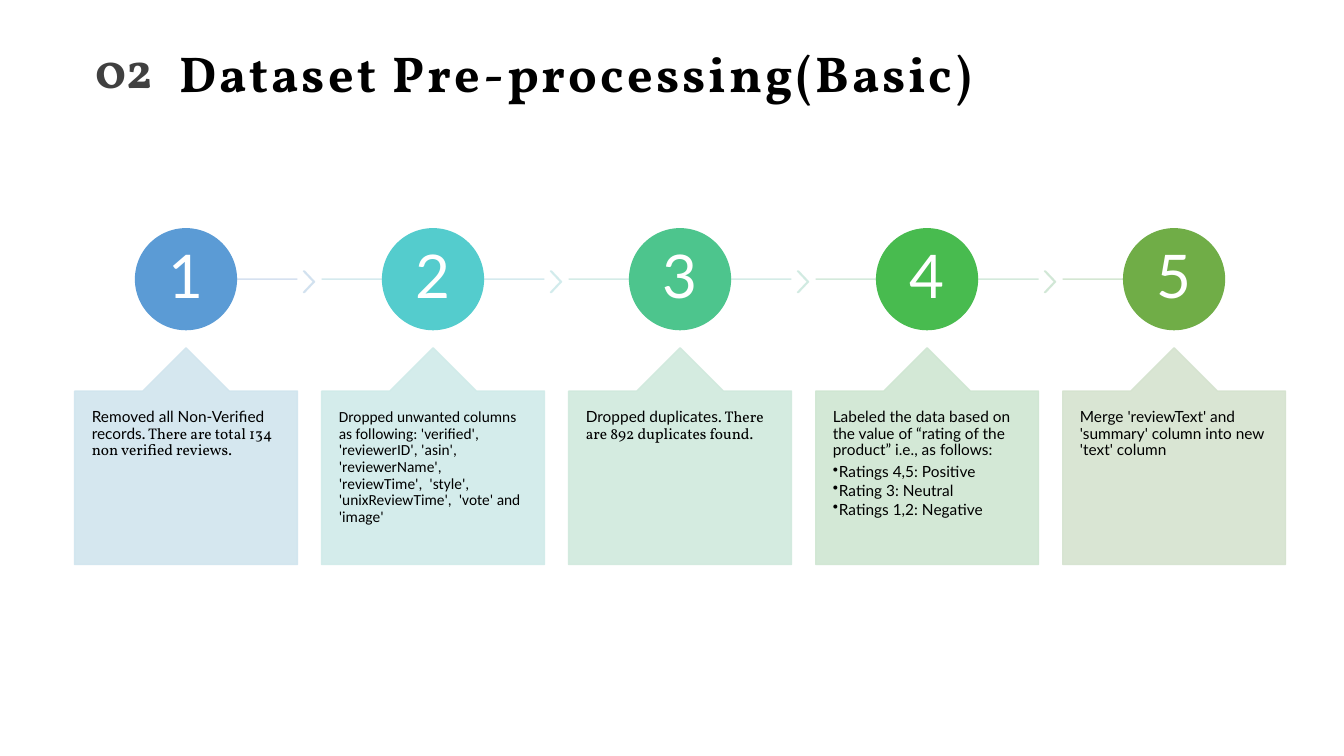
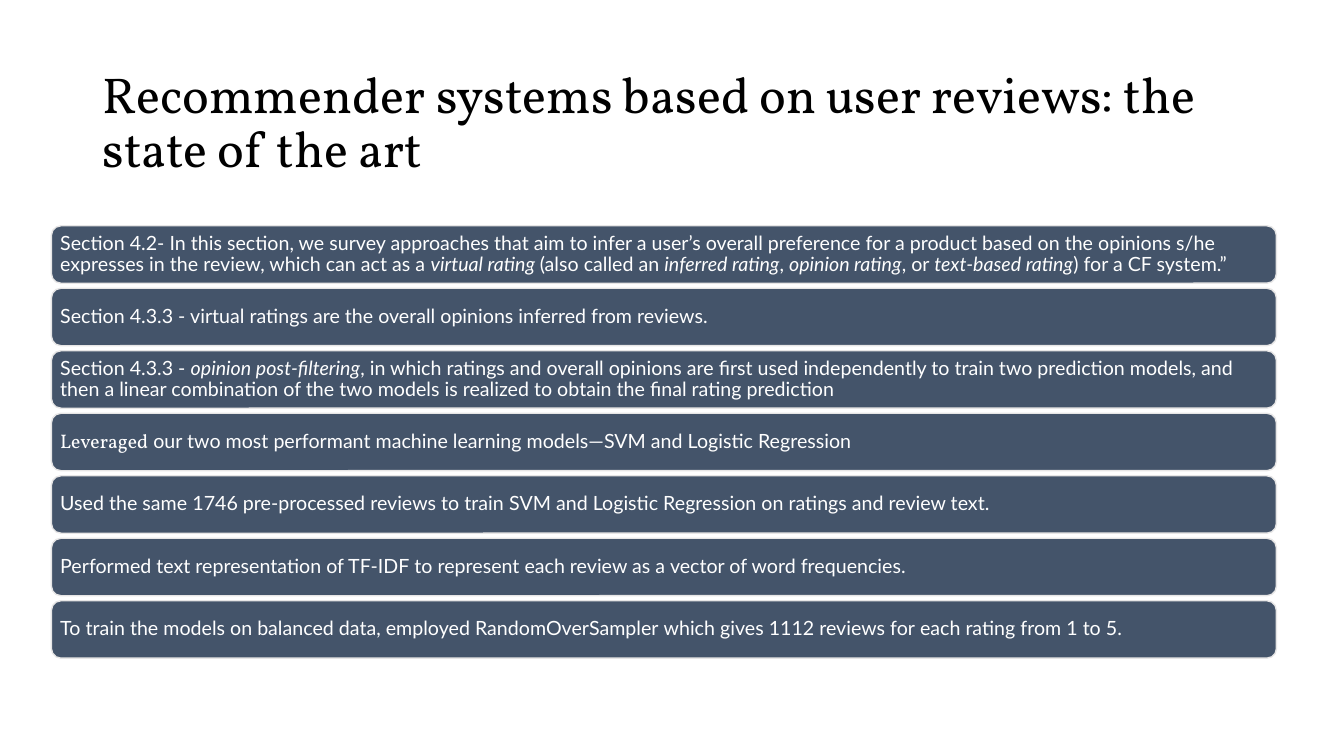
"""Build two slides: dataset pre-processing steps and recommender system notes."""
from dataclasses import dataclass, field

from lxml import etree
from pptx import Presentation
from pptx.dml.color import RGBColor
from pptx.enum.shapes import MSO_CONNECTOR, MSO_SHAPE
from pptx.enum.text import MSO_ANCHOR, PP_ALIGN
from pptx.oxml.ns import qn
from pptx.util import Inches, Pt

SERIF, SANS, CALIBRI = "Vollkorn", "Lato", "Calibri"
BLACK, WHITE, GREY = "000000", "FFFFFF", "404040"
BAR_FILL, BAR_LINE = "44546A", "E7E6E6"
TITLE_SIZE = 36


@dataclass(frozen=True)
class Run:
    """A stretch of text in one face."""
    text: str
    font: str = SANS
    italic: bool = False
    bold: bool = False
    spacing: float = 0


@dataclass(frozen=True)
class Style:
    """Paragraph look and frame layout of a text."""
    size: float
    color: str
    align: PP_ALIGN = PP_ALIGN.LEFT
    anchor: MSO_ANCHOR = MSO_ANCHOR.MIDDLE
    line_spacing: float = 0.9
    space_after: float = 0
    margins: tuple[float, float] = (0.1, 0.05)


@dataclass(frozen=True)
class Step:
    """One numbered step: circle, link to the next step, and card."""
    circle: str
    link: str
    chevron: str
    card: str
    runs: list[Run]
    bullets: list[str] = field(default_factory=list)


TITLE = Style(TITLE_SIZE, BLACK)
SECTION_NUMBER = Style(TITLE_SIZE, GREY, PP_ALIGN.CENTER, MSO_ANCHOR.TOP, 1.0)
STEP_NUMBER = Style(43, WHITE, PP_ALIGN.CENTER, margins=(0.04, 0.04))
CARD_TEXT = Style(11, BLACK, anchor=MSO_ANCHOR.TOP, space_after=3.5, margins=(0.17, 0.18))
BAR_TEXT = Style(14, WHITE, margins=(0.06, 0.06))

STEPS = [
    Step("5B9BD5", "D2DEEF", "D1E1EF", "D1E5EE",
         [Run("Removed all Non-Verified records"),
          Run(". There are total 134 non verified reviews.", SERIF)]),
    Step("54CCCD", "D1E8ED", "D1EBEC", "D0EBE9",
         [Run("Dropped unwanted columns as following: 'verified', 'reviewerID', 'asin', "
              "'reviewerName', 'reviewTime',\u00a0 'style',\u00a0 'unixReviewTime',\u00a0 "
              "'vote' and 'image'", CALIBRI)]),
    Step("4DC58D", "D0EAE5", "D0EAE1", "D0E9DD",
         [Run("Dropped duplicates"),
          Run(". There are\u00a0892 duplicates found.", SERIF)]),
    Step("48BB4F", "D0E8D9", "D0E7D5", "CFE6D2",
         [Run("Labeled the data based on the value of “rating of the product” "
              "i.e., as follows:")],
         ["Ratings 4,5: Positive", "Rating 3: Neutral", "Ratings 1,2: Negative"]),
    Step("70AD47", "D0E5CF", "", "D5E3CF",
         [Run("Merge 'reviewText' and 'summary' column into new 'text' column")]),
]

NOTES = [
    [Run("Section 4.2-\u00a0In this section, we survey approaches that aim to infer a user’s "
         "overall preference for a product based on the opinions s/he expresses in the "
         "review, which can act as a "),
     Run("virtual rating ", italic=True), Run("(also called an "),
     Run("inferred rating", italic=True), Run(", "),
     Run("opinion rating", italic=True), Run(", or "),
     Run("text-based rating", italic=True), Run(") for a CF system.”")],
    [Run("Section\u00a04.3.3 -\u00a0virtual ratings are the overall opinions inferred "
         "from reviews.")],
    [Run("Section 4.3.3 -\u00a0"), Run("opinion post-filtering", italic=True),
     Run(", in which ratings and overall opinions are first used independently to train "
         "two prediction models, and then a linear combination of the two models is "
         "realized to obtain the final rating prediction")],
    [Run("Leveraged", SERIF),
     Run(" our two most performant machine learning models—SVM and Logistic Regression")],
    [Run("Used the same\u00a01746 pre-processed reviews to train\u00a0SVM and Logistic "
         "Regression on ratings and review text.")],
    [Run("Performed text representation of TF-IDF\u00a0to represent each review as "
         "a\u00a0vector of word frequencies.")],
    [Run("To train the models on balanced data, employed RandomOverSampler\u00a0which gives "
         "1112 reviews for\u00a0each rating from 1 to 5.")],
]


def rgb(color: str) -> RGBColor:
    """Turn a hex string into a colour."""
    return RGBColor.from_string(color)


def set_alpha(shape, percent: int) -> None:
    """Make every colour of a shape's fill and line partly transparent."""
    for color in shape._element.spPr.iter(qn("a:srgbClr")):
        etree.SubElement(color, qn("a:alpha")).set("val", str(percent * 1000))


def add_paragraph(paragraph, runs: list[Run], style: Style) -> None:
    """Fill one paragraph with styled runs."""
    paragraph.alignment = style.align
    paragraph.line_spacing = style.line_spacing
    paragraph.space_after = Pt(style.space_after)
    for item in runs:
        run = paragraph.add_run()
        run.text = item.text
        font = run.font
        font.name, font.size = item.font, Pt(style.size)
        font.bold, font.italic = item.bold, item.italic
        font.color.rgb = rgb(style.color)
        if item.spacing:
            run._r.get_or_add_rPr().set("spc", str(round(item.spacing * 100)))


def write(shape, runs: list[Run], style: Style) -> None:
    """Lay out a shape's text frame and write its first paragraph."""
    frame = shape.text_frame
    frame.word_wrap = True
    frame.vertical_anchor = style.anchor
    across, down = (Inches(margin) for margin in style.margins)
    frame.margin_left = frame.margin_right = across
    frame.margin_top = frame.margin_bottom = down
    add_paragraph(frame.paragraphs[0], runs, style)


def add_bullet(shape, text: str) -> None:
    """Append a tightly hanging bullet to a card."""
    paragraph = shape.text_frame.add_paragraph()
    add_paragraph(paragraph, [Run(text)], CARD_TEXT)
    paragraph.space_after = Pt(1.6)
    properties = paragraph._p.get_or_add_pPr()
    indent = Inches(0.06)
    properties.set("marL", str(indent))
    properties.set("indent", str(-indent))
    etree.SubElement(properties, qn("a:buChar")).set("char", "•")


def add_text(slide, left: float, top: float, width: float, height: float,
             run: Run, style: Style) -> None:
    """Add a text box."""
    box = slide.shapes.add_textbox(Inches(left), Inches(top), Inches(width), Inches(height))
    write(box, [run], style)


def add_shape(slide, kind: MSO_SHAPE, left: float, top: float, width: float,
              height: float, fill: str, line: str):
    """Add a flat preset shape with a one-point outline."""
    shape = slide.shapes.add_shape(kind, Inches(left), Inches(top),
                                   Inches(width), Inches(height))
    shape.shadow.inherit = False
    shape.fill.solid()
    shape.fill.fore_color.rgb = rgb(fill)
    shape.line.color.rgb = rgb(line)
    shape.line.width = Pt(1)
    return shape


def add_link(slide, start: float, end: float, y: float, color: str) -> None:
    """Draw a horizontal link line."""
    link = slide.shapes.add_connector(MSO_CONNECTOR.STRAIGHT, Inches(start), Inches(y),
                                      Inches(end), Inches(y))
    link.line.color.rgb = rgb(color)
    link.line.width = Pt(1)
    set_alpha(link, 90)
    etree.SubElement(link._element.spPr, qn("a:effectLst"))


def add_step(slide, index: int, step: Step) -> None:
    """Draw one step of the process."""
    width, pitch, diameter, circle_top = 2.21, 2.45, 1, 2.27
    left = 0.74 + index * pitch
    right, center = left + width, left + width / 2
    is_first, is_last = index == 0, index == len(STEPS) - 1
    add_link(slide, center if is_first else left, center if is_last else right,
             circle_top + diameter / 2, step.link)
    if not is_last:
        chevron = add_shape(slide, MSO_SHAPE.CHEVRON, right + 0.06, 2.69, 0.11, 0.21,
                            step.chevron, step.chevron)
        chevron.adjustments[0] = 0.9
        set_alpha(chevron, 90)
    circle = add_shape(slide, MSO_SHAPE.OVAL, center - diameter / 2, circle_top,
                       diameter, diameter, step.circle, step.circle)
    write(circle, [Run(str(index + 1))], STEP_NUMBER)
    card = add_shape(slide, MSO_SHAPE.UP_ARROW_CALLOUT, left, 3.45, width, 2.15,
                     step.card, step.card)
    for position, value in enumerate((0.5, 0.2, 0.2, 1)):
        card.adjustments[position] = value
    set_alpha(card, 90)
    write(card, step.runs, CARD_TEXT)
    for bullet in step.bullets:
        add_bullet(card, bullet)


def build_preprocessing(slide) -> None:
    """Build the slide of pre-processing steps."""
    add_text(slide, 1.68, 0.14, 11.5, 1.24,
             Run("Dataset Pre-processing(Basic)", SERIF, bold=True, spacing=2.2), TITLE)
    add_text(slide, 0.51, 0.33, 1.44, 0.71, Run("02", SERIF, bold=True), SECTION_NUMBER)
    for index, step in enumerate(STEPS):
        add_step(slide, index, step)


def build_state_of_the_art(slide) -> None:
    """Build the slide of notes in stacked bars."""
    add_text(slide, 0.92, 0.61, 11.5, 1.24,
             Run("Recommender systems based on user reviews: the state of the art", SERIF),
             TITLE)
    for index, runs in enumerate(NOTES):
        bar = add_shape(slide, MSO_SHAPE.ROUNDED_RECTANGLE, 0.51, 2.24 + index * 0.62,
                        12.15, 0.57, BAR_FILL, BAR_LINE)
        write(bar, runs, BAR_TEXT)


def main() -> None:
    """Build and save the presentation."""
    deck = Presentation()
    deck.slide_width, deck.slide_height = Inches(13.33), Inches(7.5)
    blank = deck.slide_layouts[6]
    for build in (build_preprocessing, build_state_of_the_art):
        build(deck.slides.add_slide(blank))
    deck.save("out.pptx")


main()
